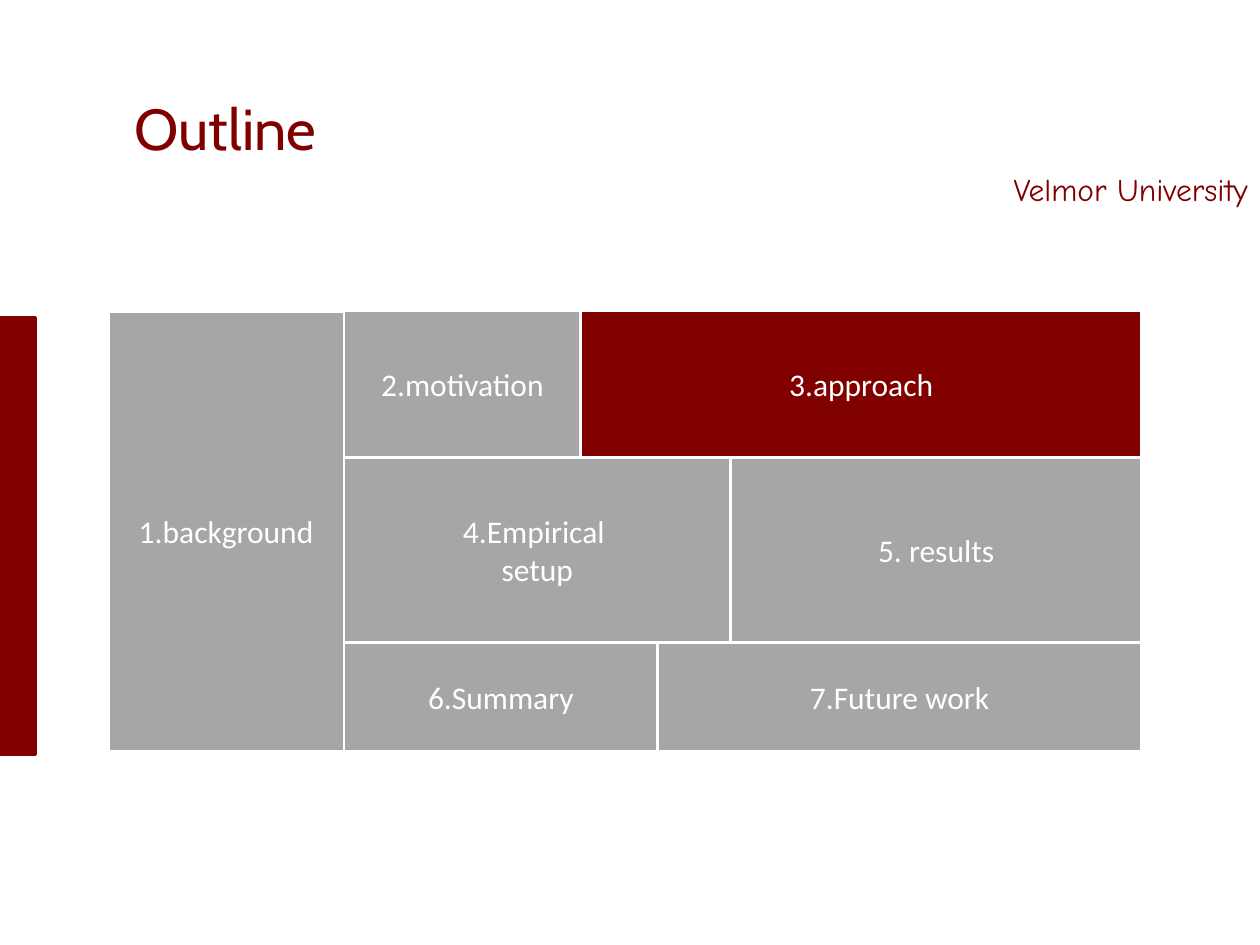
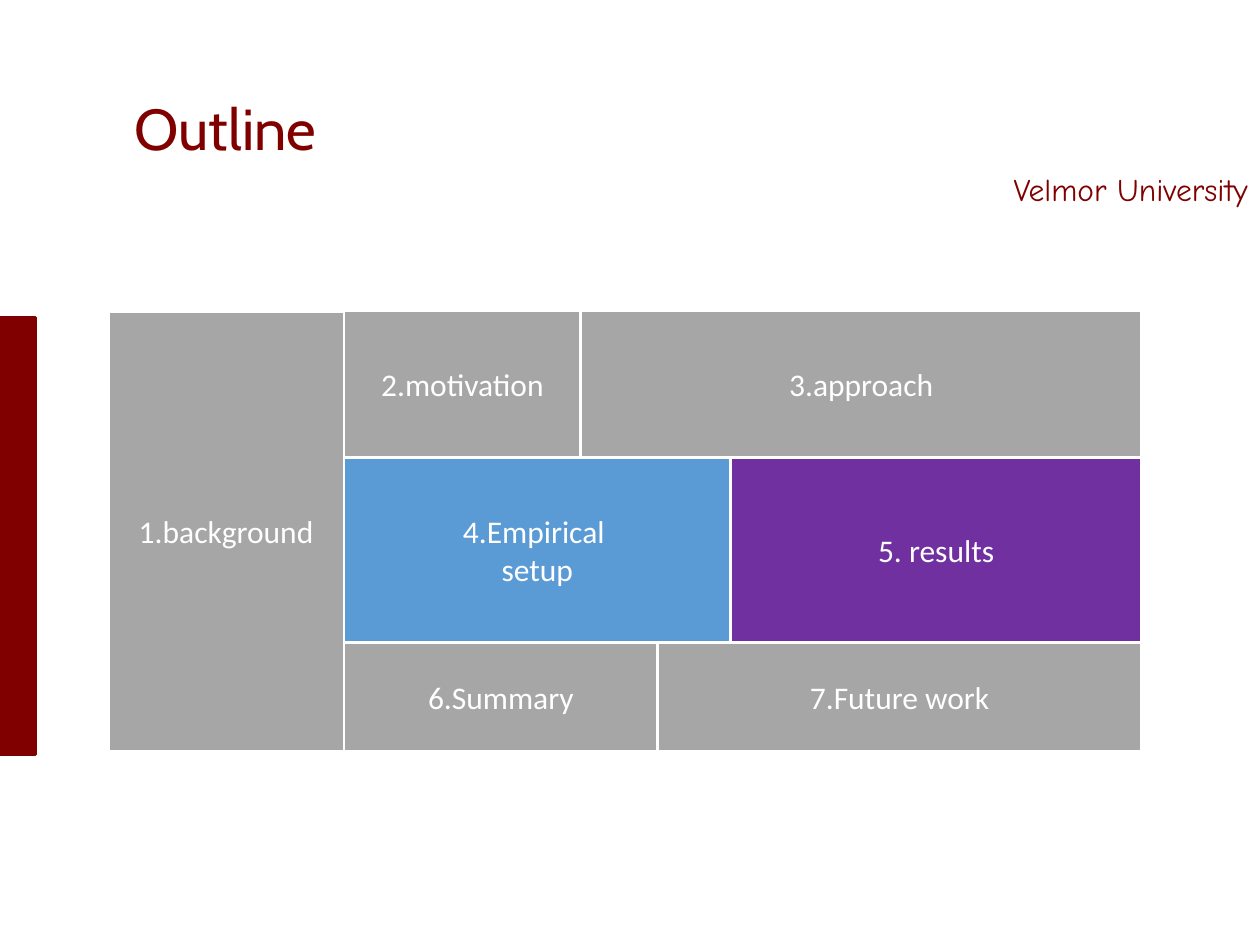
from pptx import Presentation
from pptx.dml.color import RGBColor
from pptx.enum.shapes import MSO_SHAPE
from pptx.enum.text import MSO_ANCHOR, PP_ALIGN
from pptx.util import Inches, Pt

MAROON = RGBColor(0x80, 0x00, 0x00)
GREY = RGBColor(0xA6, 0xA6, 0xA6)
BLUE = RGBColor(0x5B, 0x9B, 0xD5)
PURPLE = RGBColor(0x70, 0x30, 0xA0)
WHITE = RGBColor(0xFF, 0xFF, 0xFF)

LEFT, SPLIT, RIGHT = 0.86, 2.73, 9.06
ROWS = [2.47, 3.63, 5.1, 5.96]

SECTIONS = [
    ("1.background", LEFT, SPLIT, 0, 3),
    ("2.motivation", SPLIT, 4.61, 0, 1),
    ("3.approach", 4.61, RIGHT, 0, 1),
    ("4.Empirical \nsetup", SPLIT, 5.8, 1, 2),
    ("5. results", 5.8, RIGHT, 1, 2),
    ("6.Summary", SPLIT, 5.22, 2, 3),
    ("7.Future work", 5.22, RIGHT, 2, 3),
]
HIGHLIGHTS = [
    {"3.approach": MAROON},
    {"4.Empirical \nsetup": BLUE, "5. results": PURPLE},
]


def write(shape, text, font, size, color, align=PP_ALIGN.LEFT, anchor=MSO_ANCHOR.TOP, spacing=1.0):
    frame = shape.text_frame
    frame.word_wrap = True
    frame.vertical_anchor = anchor
    frame.text = text
    for paragraph in frame.paragraphs:
        paragraph.alignment = align
        paragraph.line_spacing = spacing
        paragraph.font.name = font
        paragraph.font.size = Pt(size)
        paragraph.font.color.rgb = color


def add_block(slide, left, top, right, bottom, fill, line):
    block = slide.shapes.add_shape(
        MSO_SHAPE.RECTANGLE, Inches(left), Inches(top), Inches(right - left), Inches(bottom - top))
    block.shadow.inherit = False
    block.fill.solid()
    block.fill.fore_color.rgb = fill
    block.line.color.rgb = line
    block.line.width = Pt(1.5)
    return block


deck = Presentation()
deck.slide_width, deck.slide_height = Inches(10), Inches(7.5)

for highlight in HIGHLIGHTS:
    slide = deck.slides.add_slide(deck.slide_layouts[6])
    add_block(slide, 0, 2.52, 0.28, 5.99, MAROON, MAROON)

    university = slide.shapes.add_textbox(Inches(7.75), Inches(1.3), Inches(2.25), Inches(0.4))
    write(university, "Velmor University", "Comic Neue", 18, MAROON, PP_ALIGN.RIGHT)

    title = slide.shapes.add_textbox(Inches(0.97), Inches(0.52), Inches(8.35), Inches(1.05))
    write(title, "Outline", "Cabin", 33, MAROON, anchor=MSO_ANCHOR.MIDDLE, spacing=0.9)

    for label, left, right, first_row, last_row in SECTIONS:
        section = add_block(slide, left, ROWS[first_row], right, ROWS[last_row],
                            highlight.get(label, GREY), WHITE)
        write(section, label, "Calibri", 18, WHITE, PP_ALIGN.CENTER, MSO_ANCHOR.MIDDLE)

deck.save("out.pptx")
